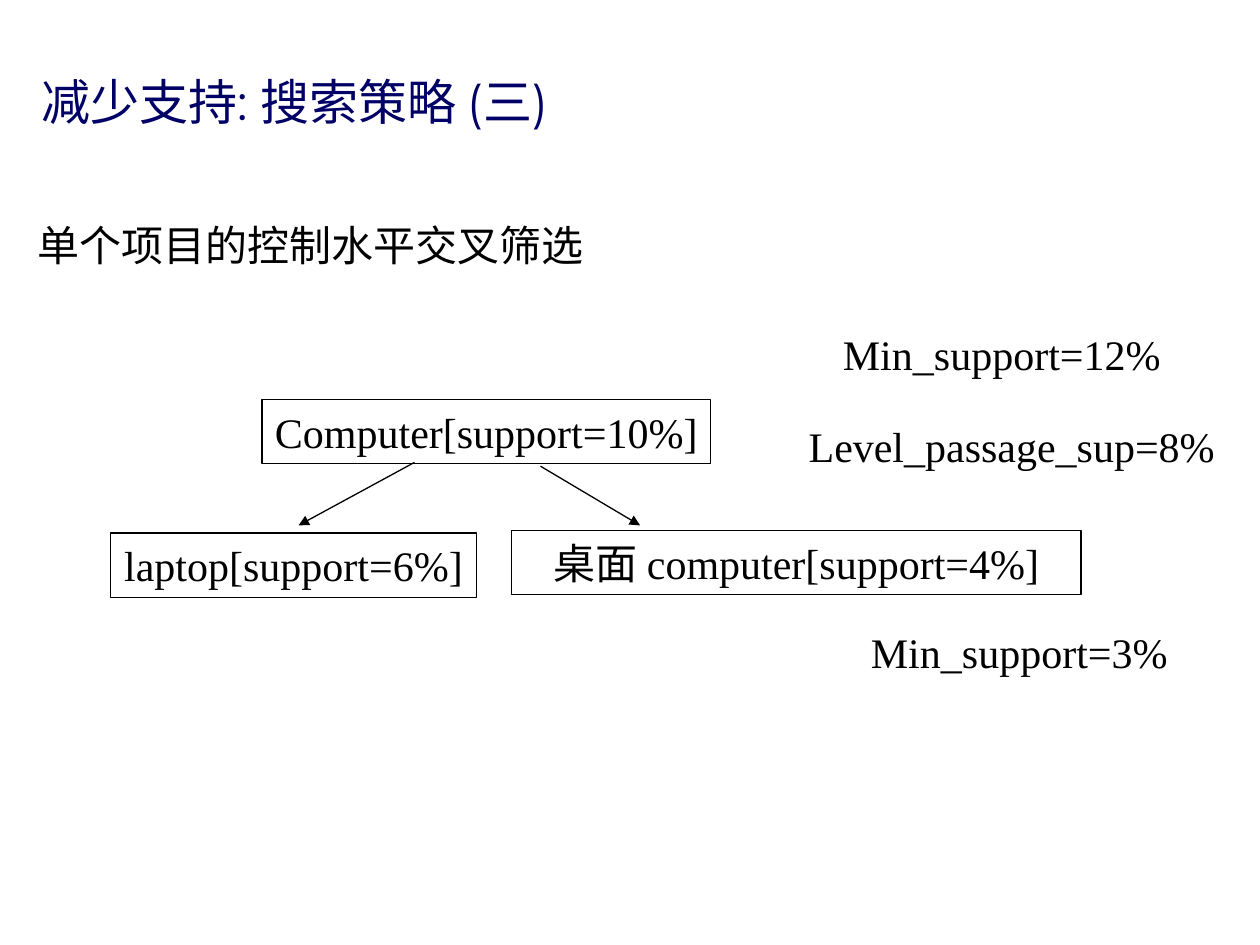
import pptx
import pptx.util
import pptx.dml.color
import pptx.enum.text
import pptx.enum.shapes
import pptx.oxml.ns
import lxml.etree

Inches = pptx.util.Inches
Pt = pptx.util.Pt
Align = pptx.enum.text.PP_ALIGN
Anchor = pptx.enum.text.MSO_ANCHOR
Kind = pptx.enum.shapes.MSO_SHAPE
Link = pptx.enum.shapes.MSO_CONNECTOR
qn = pptx.oxml.ns.qn


def color(code):
    return pptx.dml.color.RGBColor.from_string(code)


def write(shape, text, face, size, code, align, frame):
    box = shape.text_frame
    for key, value in frame.items():
        setattr(box, key, value)
    para = box.paragraphs[0]
    para.alignment = align
    run = para.add_run()
    run.text = text
    font = {"name": face, "size": Pt(size)}
    for key, value in font.items():
        setattr(run.font, key, value)
    run.font.color.rgb = color(code)


deck = pptx.Presentation()
deck.slide_width = Inches(10)
deck.slide_height = Inches(7.5)
slide = deck.slides.add_slide(deck.slide_layouts[6])
shapes = slide.shapes

heads = [
    ("减少支持: 搜索策略 (三)", (0.23, 0.5, 9.5, 0.58), 28, "000066",
     {"word_wrap": True, "vertical_anchor": Anchor.BOTTOM}),
    ("单个项目的控制水平交叉筛选", (0.2, 1.32, 9.41, 5.37), 24, "000000",
     {"word_wrap": True, "vertical_anchor": Anchor.TOP, "margin_top": Inches(0.42)}),
]
for text, place, size, code, frame in heads:
    label = shapes.add_textbox(*map(Inches, place))
    write(label, text, "Montserrat", size, code, Align.LEFT, frame)

center = {"word_wrap": False, "vertical_anchor": Anchor.MIDDLE}

nodes = [
    ("Computer[support=10%]", 2.08, 3.17, 3.56),
    ("laptop[support=6%]", 0.88, 4.23, 2.9),
    ("桌面 computer[support=4%]", 4.06, 4.21, 4.52),
]
for text, left, top, width in nodes:
    node = shapes.add_shape(
        Kind.RECTANGLE, Inches(left), Inches(top), Inches(width), Inches(0.51))
    node.shadow.inherit = False
    node.fill.background()
    node.line.color.rgb = color("000000")
    node.line.width = Pt(0.75)
    write(node, text, "Times New Roman", 24, "000000", Align.CENTER, center)

notes = [
    ("Min_support=12%", 6.59, 2.56, 2.72),
    ("Level_passage_sup=8%", 6.28, 3.29, 3.5),
    ("Min_support=3%", 6.81, 4.92, 2.56),
]
for text, left, top, width in notes:
    note = shapes.add_textbox(Inches(left), Inches(top), Inches(width), Inches(0.5))
    write(note, text, "Times New Roman", 24, "000000", Align.CENTER, center)

for ends in [(3.29, 3.67, 2.37, 4.17), (4.29, 3.7, 5.08, 4.17)]:
    arrow = shapes.add_connector(Link.STRAIGHT, *map(Inches, ends))
    arrow.line.color.rgb = color("000000")
    arrow.line.width = Pt(0.75)
    props = arrow._element.find(qn("p:spPr"))
    lxml.etree.SubElement(props.find(qn("a:ln")), qn("a:tailEnd"), type="triangle")
    lxml.etree.SubElement(props, qn("a:effectLst"))

deck.save("out.pptx")
